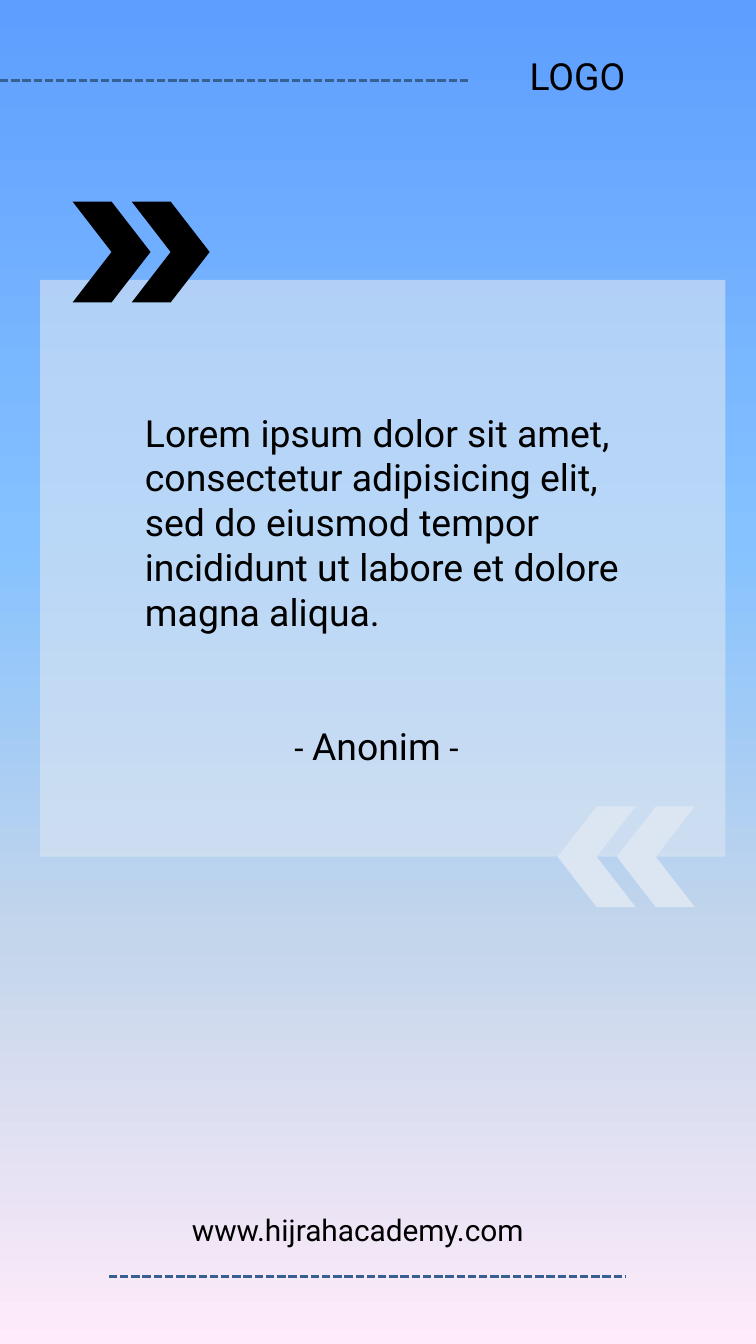
from copy import deepcopy
from dataclasses import dataclass

from lxml import etree
from pptx import Presentation
from pptx import util as u
from pptx.dml.color import RGBColor
from pptx.enum import dml, shapes, text
from pptx.oxml.ns import qn

# Upright 9:16 slide
HEIGHT = u.Inches(10)
WIDTH = HEIGHT * 9 // 16
FONT = "Roboto"
BLACK = RGBColor(0x00, 0x00, 0x00)
PALE_BLUE = RGBColor(0xDC, 0xE6, 0xF2)
DASH_BLUE = RGBColor(0x37, 0x60, 0x92)
# Background stops, top to bottom: (percent, colour)
SKY = [
    (0, RGBColor(0x5E, 0x9E, 0xFF)),
    (40, RGBColor(0x85, 0xC2, 0xFF)),
    (70, RGBColor(0xC4, 0xD6, 0xEB)),
    (100, RGBColor(0xFF, 0xEB, 0xFA)),
]


@dataclass(frozen=True)
class Box:
    """Place and size in percent of the slide's width and height."""
    left: float
    top: float
    width: float
    height: float

    def emu(self) -> tuple[int, int, int, int]:
        return (across(self.left), down(self.top),
                across(self.width), down(self.height))


@dataclass(frozen=True)
class Label:
    box: Box
    runs: tuple[tuple[str, int], ...]  # (wording, point size)
    wrap: bool = True


@dataclass(frozen=True)
class QuoteMark:
    left: float
    top: float
    color: RGBColor
    flipped: bool = False


@dataclass(frozen=True)
class Rule:
    start: float
    end: float
    top: float


def across(percent: float) -> int:
    return round(WIDTH * percent / 100)


def down(percent: float) -> int:
    return round(HEIGHT * percent / 100)


def paint_background(slide) -> None:
    fill = slide.background.fill
    fill.gradient()
    fill.gradient_angle = 270
    stops = slide._element.find(".//" + qn("a:gsLst"))
    for _ in range(len(SKY) - len(stops)):
        stops.append(deepcopy(stops[0]))
    for stop, (position, color) in zip(fill.gradient_stops, SKY):
        stop.position = position / 100
        stop.color.rgb = color


def add_filled(slide, kind, box: Box, color: RGBColor):
    shape = slide.shapes.add_shape(kind, *box.emu())
    shape.shadow.inherit = False
    shape.fill.solid()
    shape.fill.fore_color.rgb = color
    shape.line.fill.background()
    return shape


def add_panel(slide, box: Box, color: RGBColor, opacity: int) -> None:
    panel = add_filled(slide, shapes.MSO_SHAPE.RECTANGLE, box, color)
    tint = panel._element.spPr.find(qn("a:solidFill"))[0]
    etree.SubElement(tint, qn("a:alpha"), val=str(opacity * 1000))


def add_quote_mark(slide, mark: QuoteMark) -> None:
    for i in range(2):
        box = Box(mark.left + i * 7.82, mark.top, 10.31, 7.5)
        chevron = add_filled(slide, shapes.MSO_SHAPE.CHEVRON, box, mark.color)
        if mark.flipped:
            chevron._element.spPr.find(qn("a:xfrm")).set("flipH", "1")


def add_label(slide, label: Label) -> None:
    frame = slide.shapes.add_textbox(*label.box.emu()).text_frame
    frame.word_wrap = label.wrap
    frame.auto_size = text.MSO_AUTO_SIZE.SHAPE_TO_FIT_TEXT
    paragraph = frame.paragraphs[0]
    paragraph.font.name = FONT
    paragraph.font.color.rgb = BLACK
    for wording, size in label.runs:
        run = paragraph.add_run()
        run.text = wording
        run.font.size = u.Pt(size)


def add_rule(slide, rule: Rule) -> None:
    line = slide.shapes.add_connector(
        shapes.MSO_CONNECTOR.STRAIGHT,
        across(rule.start), down(rule.top), across(rule.end), down(rule.top))
    line.line.color.rgb = DASH_BLUE
    line.line.width = u.Pt(1.5)
    line.line.dash_style = dml.MSO_LINE.SQUARE_DOT
    etree.SubElement(line._element.spPr, qn("a:effectLst"))


QUOTE = ("Lorem ipsum dolor sit amet, consectetur adipisicing elit, sed do "
         "eiusmod tempor incididunt ut labore et dolore magna aliqua.")
QUOTE_MARKS = [
    QuoteMark(9.6, 15, BLACK),
    QuoteMark(73.78, 60, PALE_BLUE, flipped=True),
]
LABELS = [
    Label(Box(17.42, 30, 66.67, 21.2), ((QUOTE, 20),)),
    Label(Box(37.2, 53.3, 28.27, 4.4),
          (("- ", 18), ("Anonim", 20), (" -", 18)), wrap=False),
    Label(Box(23.64, 89.64, 59.02, 3.7), (("www.hijrahacademy.com", 16),)),
    Label(Box(68.3, 3.44, 26.49, 4.4), (("LOGO", 20),)),
]
RULES = [Rule(14.4, 82.84, 95), Rule(0, 61.9, 6)]


def main() -> None:
    deck = Presentation()
    deck.slide_width, deck.slide_height = WIDTH, HEIGHT
    slide = deck.slides.add_slide(deck.slide_layouts[6])
    paint_background(slide)

    # Quote panel and its marks
    add_panel(slide, Box(5.3, 20.83, 90.67, 42.9), PALE_BLUE, opacity=60)
    for mark in QUOTE_MARKS:
        add_quote_mark(slide, mark)

    # Wording and dashed rules
    for label in LABELS:
        add_label(slide, label)
    for rule in RULES:
        add_rule(slide, rule)

    deck.save("out.pptx")


if __name__ == "__main__":
    main()
